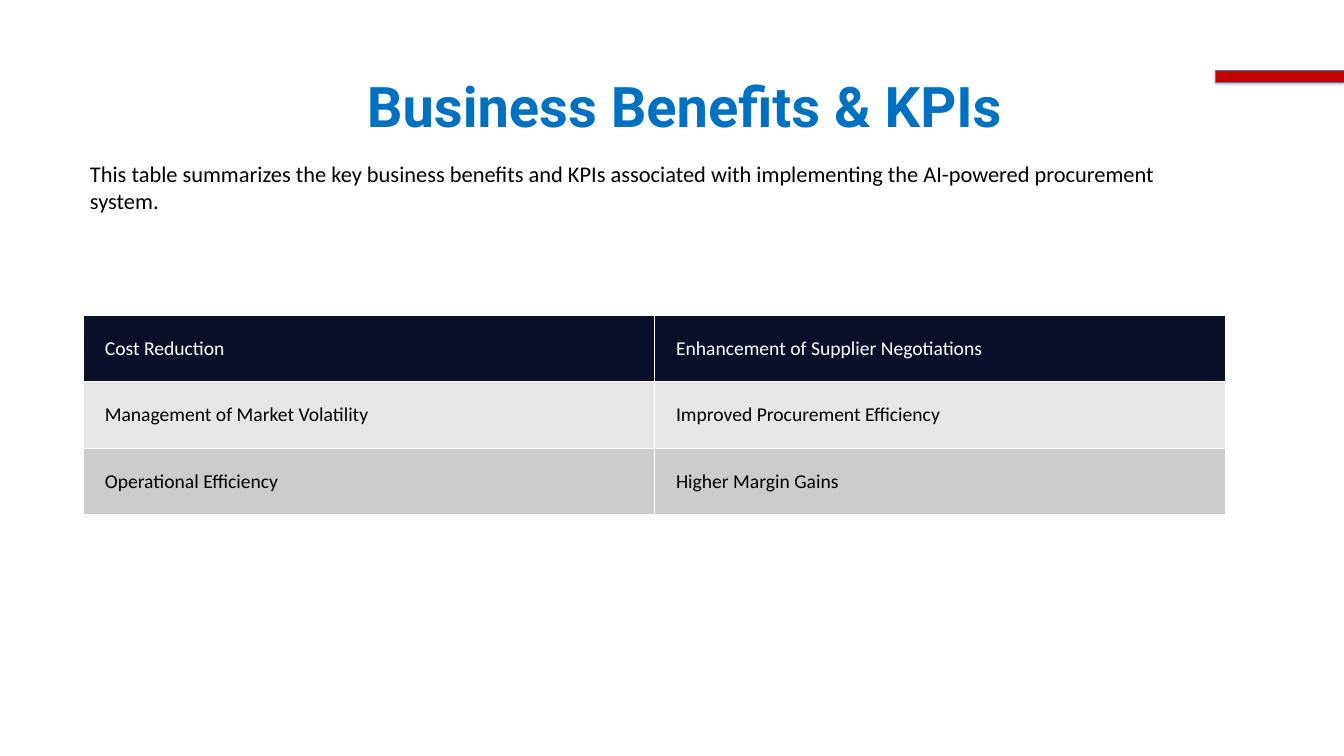
from dataclasses import dataclass

from lxml.etree import SubElement
from pptx import Presentation
from pptx.dml.color import RGBColor
from pptx.enum.shapes import MSO_SHAPE
from pptx.enum.text import MSO_ANCHOR
from pptx.oxml import parse_xml
from pptx.oxml.ns import nsdecls, qn
from pptx.util import Inches, Pt


@dataclass(frozen=True)
class Theme:
    title_font: str = "Roboto"
    body_font: str = "Calibri"
    title_size: int = 60
    intro_size: int = 24
    cell_size: int = 21
    title_color: str = "0070C0"
    dark_text: str = "000000"
    light_text: str = "FFFFFF"
    border: str = "FFFFFF"
    header_fill: str = "0A0F29"
    row_fills: tuple = ("E7E7E8", "CCCCCD")
    accent: str = "C00000"
    accent_line: str = "4B7EBC"
    shadow: str = "000000"


class SlideBuilder:
    def __init__(self, slide, theme):
        self.slide = slide
        self.theme = theme

    def add_run(self, frame, text, font, size, color, bold=False):
        run = frame.paragraphs[0].add_run()
        run.text = text
        formats = {"name": font, "size": Pt(size), "bold": bold}
        for attribute, value in formats.items():
            setattr(run.font, attribute, value)
        run.font.color.rgb = RGBColor.from_string(color)

    def set_frame(self, target, margins, anchor):
        formats = dict(zip(
            ("margin_left", "margin_top", "margin_right", "margin_bottom"),
            map(Inches, margins)))
        formats["vertical_anchor"] = anchor
        for attribute, value in formats.items():
            setattr(target, attribute, value)

    def text(self, box, text, margins, *style):
        frame = self.slide.shapes.add_textbox(*map(Inches, box)).text_frame
        frame.word_wrap = True
        self.set_frame(frame, margins, MSO_ANCHOR.TOP)
        self.add_run(frame, text, *style)

    def bar(self, box):
        bar = self.slide.shapes.add_shape(MSO_SHAPE.RECTANGLE, *map(Inches, box))
        bar.fill.solid()
        bar.fill.fore_color.rgb = RGBColor.from_string(self.theme.accent)
        bar.line.color.rgb = RGBColor.from_string(self.theme.accent_line)
        bar.line.width = Pt(0.75)
        # Soft shadow straight below
        bar.shadow.inherit = False
        effects = bar._element.spPr.find(qn("a:effectLst"))
        shadow = SubElement(effects, qn("a:outerShdw"), blurRad=str(Pt(3.1)),
                            dist=str(Pt(1.8)), dir="5400000", rotWithShape="0")
        color = SubElement(shadow, qn("a:srgbClr"), val=self.theme.shadow)
        SubElement(color, qn("a:alpha"), val="35000")

    def add_borders(self, cell):
        properties = cell._tc.get_or_add_tcPr()
        for position, side in enumerate(("lnL", "lnR", "lnT", "lnB")):
            properties.insert(position, parse_xml(
                f'<a:{side} {nsdecls("a")} w="{Pt(1)}"><a:solidFill>'
                f'<a:srgbClr val="{self.theme.border}"/></a:solidFill></a:{side}>'))

    def table(self, box, rows, margin):
        theme = self.theme
        table = self.slide.shapes.add_table(
            len(rows), len(rows[0]), *map(Inches, box)).table
        table.first_row = False
        table.horz_banding = False
        for row_index, row in enumerate(rows):
            header = row_index == 0
            fill = theme.header_fill if header else theme.row_fills[(row_index - 1) % 2]
            color = theme.light_text if header else theme.dark_text
            for column_index, label in enumerate(row):
                cell = table.cell(row_index, column_index)
                self.set_frame(cell, (margin,) * 4, MSO_ANCHOR.MIDDLE)
                cell.fill.solid()
                cell.fill.fore_color.rgb = RGBColor.from_string(fill)
                self.add_borders(cell)
                self.add_run(cell.text_frame, label, theme.body_font,
                             theme.cell_size, color)


def main():
    theme = Theme()
    presentation = Presentation()
    presentation.slide_width = Inches(20)
    presentation.slide_height = Inches(11.25)
    slide = presentation.slides.add_slide(presentation.slide_layouts[6])
    builder = SlideBuilder(slide, theme)

    # Title
    builder.text((5.46, 1.06, 11.49, 1.99), "Business Benefits & KPIs", (0, 0, 0, 0),
                 theme.title_font, theme.title_size, theme.title_color, True)

    # Benefits table
    benefits = [
        ("Cost Reduction", "Enhancement of Supplier Negotiations"),
        ("Management of Market Volatility", "Improved Procurement Efficiency"),
        ("Operational Efficiency", "Higher Margin Gains"),
    ]
    builder.table((1.24, 4.69, 17, 2.97), benefits, 0.32)

    # Introduction
    builder.text((1.24, 2.33, 17, 0.91),
                 "This table summarizes the key business benefits and KPIs associated "
                 "with implementing the AI-powered procurement system.",
                 (0.1, 0.05, 0.1, 0.05),
                 theme.body_font, theme.intro_size, theme.dark_text)

    # Accent bar at the right edge
    builder.bar((18.09, 1.05, 1.91, 0.17))

    presentation.save("out.pptx")


if __name__ == "__main__":
    main()
